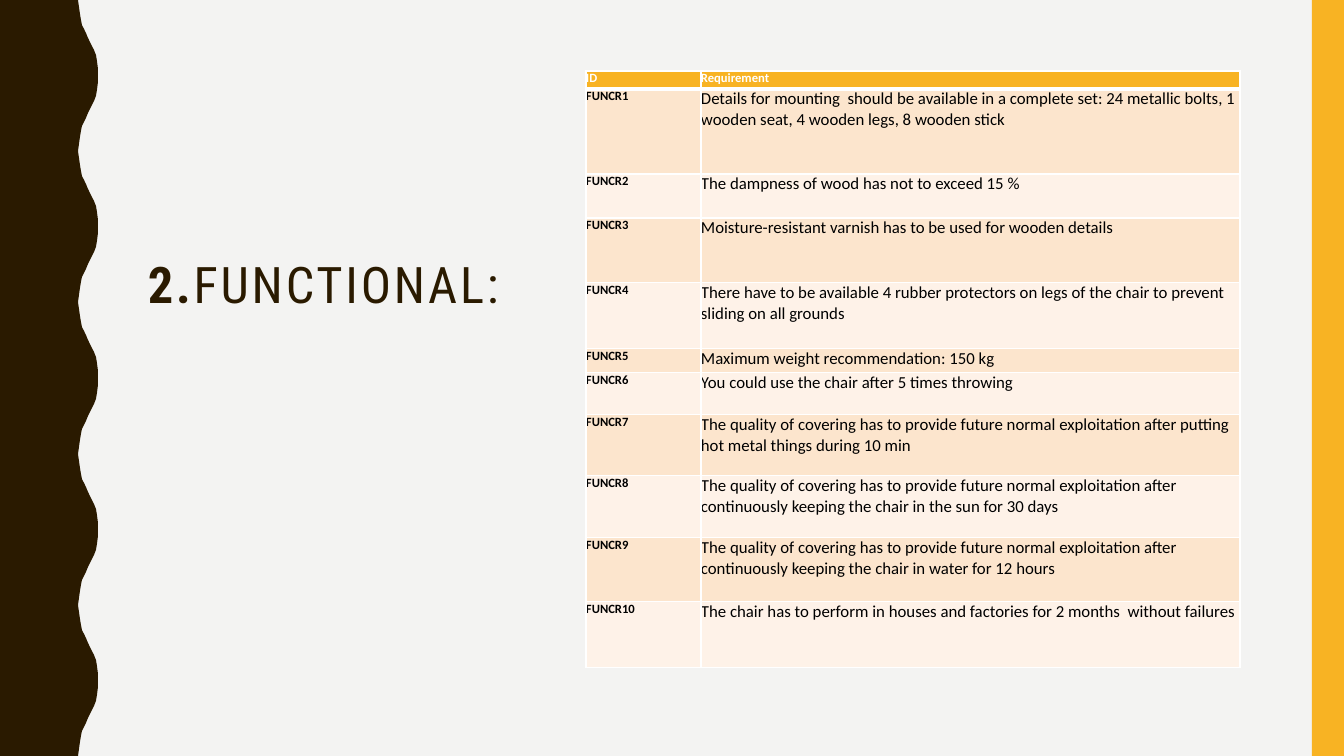
from lxml.etree import SubElement
from pptx import Presentation
from pptx.dml.color import RGBColor
from pptx.enum.shapes import MSO_SHAPE
from pptx.enum.text import MSO_ANCHOR
from pptx.oxml.ns import qn
from pptx.util import Emu, Pt

SCALE = 12192000 / 1344
HEX = {"back": "F3F3F2", "dark": "2A1A00", "gold": "F8B323", "peach": "FCE5CD",
       "cream": "FEF2E8", "white": "FFFFFF", "black": "000000"}

WAVES = 5
HIGH = 756
HALF = [(78, 0), (79, 7), (80, 14), (81, 20), (82, 25), (84, 29), (86, 33), (88, 38),
        (90, 42), (92, 46), (94, 50), (96, 55), (97, 61), (98, 69), (98, 76)]

COLS = [115, 539]
ROWS = [
    (18, "ID", "Requirement"),
    (85, "FUNCR1", "Details for mounting  should be available in a complete set: "
                   "24 metallic bolts, 1 wooden seat, 4 wooden legs, 8 wooden stick"),
    (44, "FUNCR2", "The dampness of wood has not to exceed 15 %"),
    (65, "FUNCR3", "Moisture-resistant varnish has to be used for wooden details"),
    (66, "FUNCR4", "There have to be available 4 rubber protectors on legs of the chair "
                   "to prevent sliding on all grounds"),
    (24, "FUNCR5", "Maximum weight recommendation: 150 kg"),
    (42, "FUNCR6", "You could use the chair after 5 times throwing"),
    (61, "FUNCR7", "The quality of covering has to provide future normal exploitation "
                   "after putting hot metal things during 10 min"),
    (62, "FUNCR8", "The quality of covering has to provide future normal exploitation "
                   "after continuously keeping the chair in the sun for 30 days"),
    (64, "FUNCR9", "The quality of covering has to provide future normal exploitation "
                   "after continuously keeping the chair in water for 12 hours"),
    (66, "FUNCR10", "The chair has to perform in houses and factories for 2 months  "
                    "without failures"),
]


def px(num):
    return Emu(round(num * SCALE))


def tint(name):
    return RGBColor.from_string(HEX[name])


def paint(fill, name):
    fill.solid()
    fill.fore_color.rgb = tint(name)


def apply(obj, **props):
    for key, val in props.items():
        setattr(obj, key, val)


def style(run, face, size, bold, name):
    apply(run.font, name=face, size=Pt(size), bold=bold)
    run.font.color.rgb = tint(name)


def finish(shape, name):
    paint(shape.fill, name)
    shape.line.fill.background()
    shape.shadow.inherit = False


def add_wave(slide):
    """Draw the left band; each wave is one half curve and its mirror."""
    step = HIGH / WAVES
    edge = []
    for i in range(WAVES):
        top = i * step
        edge += [(x, round(top + y)) for x, y in HALF]
        edge += [(x, round(top + step - y)) for x, y in reversed(HALF[:-1])]
    form = slide.shapes.build_freeform(0, 0, scale=SCALE)
    form.add_line_segments(edge + [(0, HIGH)], close=True)
    finish(form.convert_to_shape(), "dark")


def add_bar(slide):
    bar = slide.shapes.add_shape(MSO_SHAPE.RECTANGLE, px(1312), 0, px(32), px(HIGH))
    finish(bar, "gold")


def add_title(slide):
    box = slide.shapes.add_textbox(px(138), px(72), px(373), px(597))
    frame = box.text_frame
    apply(frame, word_wrap=True, vertical_anchor=MSO_ANCHOR.MIDDLE,
          margin_bottom=px(171))
    line = frame.paragraphs[0]
    line.line_spacing = 0.9
    for text, bold in (("2.", True), ("FUNCTIONAL:", False)):
        run = line.add_run()
        run.text = text
        style(run, "Roboto Condensed", 36, bold, "dark")
        run.font._element.set("spc", "200")


def add_edges(cell, base):
    """Give the cell white borders, with its bottom one base points wide."""
    props = cell._tc.get_or_add_tcPr()
    for side, size in (("L", 1), ("R", 1), ("T", 1), ("B", base)):
        edge = SubElement(props, qn(f"a:ln{side}"), w=str(Pt(size)))
        fill = SubElement(edge, qn("a:solidFill"))
        SubElement(fill, qn("a:srgbClr"), val=HEX["white"])


def fill_cell(cell, text, size, bold, ink, fill, base):
    apply(cell, text=text, margin_left=0, margin_right=0, margin_top=0, margin_bottom=0)
    style(cell.text_frame.paragraphs[0].runs[0], "Calibri", size, bold, ink)
    add_edges(cell, base)
    paint(cell.fill, fill)


def add_grid(slide):
    tall = sum(row[0] for row in ROWS)
    frame = slide.shapes.add_table(len(ROWS), len(COLS), px(586), px(71),
                                   px(sum(COLS)), px(tall))
    table = frame.table
    for col, wide in zip(table.columns, COLS):
        col.width = px(wide)
    for i, (high, *texts) in enumerate(ROWS):
        table.rows[i].height = px(high)
        head = i == 0
        fill = "gold" if head else ("cream", "peach")[i % 2]
        for j, text in enumerate(texts):
            bold = head or j == 0
            fill_cell(table.cell(i, j), text, 9 if bold else 12, bold,
                      "white" if head else "black", fill, 3 if head else 1)
            if i == 1:
                top = table.cell(i, j)._tc.tcPr.find(qn("a:lnT"))
                top.set("w", str(Pt(3)))


def main():
    deck = Presentation()
    apply(deck, slide_width=px(1344), slide_height=px(HIGH))
    slide = deck.slides.add_slide(deck.slide_layouts[6])
    paint(slide.background.fill, "back")
    add_wave(slide)
    add_bar(slide)
    add_title(slide)
    add_grid(slide)
    deck.save("out.pptx")


if __name__ == "__main__":
    main()
